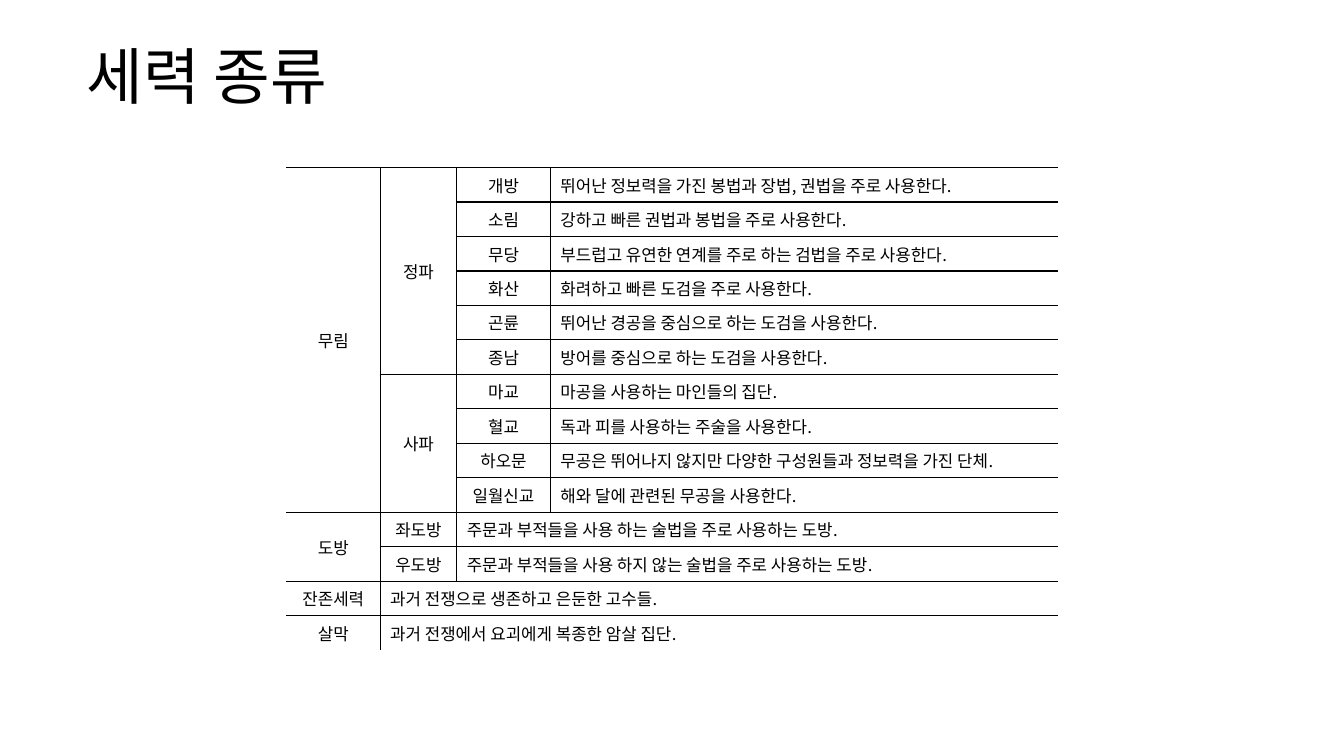
import pptx
import pptx.util
import pptx.dml.color
import pptx.enum.text
import pptx.oxml
from pptx.util import Cm
from lxml import etree

FONT = "Noto Sans CJK KR"
BLACK = "000000"
PLAIN_STYLE = "{2D5ABB26-0587-4C30-8999-92F81FD0307C}"
ALIGN = pptx.enum.text.PP_ALIGN
MIDDLE = pptx.enum.text.MSO_ANCHOR.MIDDLE

COLUMN_WIDTHS = [2.36, 1.93, 2.36, 12.8]
ROW_HEIGHT = 0.82

# Labels from left to right, then a description; "" continues the label above
FACTIONS = [
    ["무림", "정파", "개방", "뛰어난 정보력을 가진 봉법과 장법, 권법을 주로 사용한다."],
    ["", "", "소림", "강하고 빠른 권법과 봉법을 주로 사용한다."],
    ["", "", "무당", "부드럽고 유연한 연계를 주로 하는 검법을 주로 사용한다."],
    ["", "", "화산", "화려하고 빠른 도검을 주로 사용한다."],
    ["", "", "곤륜", "뛰어난 경공을 중심으로 하는 도검을 사용한다."],
    ["", "", "종남", "방어를 중심으로 하는 도검을 사용한다."],
    ["", "사파", "마교", "마공을 사용하는 마인들의 집단."],
    ["", "", "혈교", "독과 피를 사용하는 주술을 사용한다."],
    ["", "", "하오문", "무공은 뛰어나지 않지만 다양한 구성원들과 정보력을 가진 단체."],
    ["", "", "일월신교", "해와 달에 관련된 무공을 사용한다."],
    ["도방", "좌도방", "주문과 부적들을 사용 하는 술법을 주로 사용하는 도방."],
    ["", "우도방", "주문과 부적들을 사용 하지 않는 술법을 주로 사용하는 도방."],
    ["잔존세력", "과거 전쟁으로 생존하고 은둔한 고수들."],
    ["살막", "과거 전쟁에서 요괴에게 복종한 암살 집단."],
]


def color(value):
    return pptx.dml.color.RGBColor.from_string(value)


def write(frame, text, size, align=ALIGN.LEFT, spacing=None):
    para = frame.paragraphs[0]
    para.alignment = align
    para.line_spacing = spacing
    span = para.add_run()
    span.text = text
    span.font.size = pptx.util.Pt(size)
    span.font.name = FONT
    span.font.color.rgb = color(BLACK)
    east_asian = etree.SubElement(span.font._element, pptx.oxml.ns.qn("a:ea"))
    east_asian.set("typeface", FONT)


def draw_borders(cell, sides):
    """Rule the given sides (L, R, T, B in that order) and leave the cell unfilled."""
    properties = cell._tc.get_or_add_tcPr()
    for side in sides:
        properties.append(pptx.oxml.parse_xml(
            f'<a:ln{side} {pptx.oxml.ns.nsdecls("a")} w="12700">'
            f'<a:solidFill><a:srgbClr val="{BLACK}"/></a:solidFill></a:ln{side}>'))
    cell.fill.background()


def add_title(page, text):
    title = page.shapes.title
    title.left, title.top, title.width, title.height = Cm(1.93), Cm(0.81), Cm(30), Cm(2.39)
    frame = title.text_frame
    frame.auto_size = pptx.enum.text.MSO_AUTO_SIZE.NONE
    frame.vertical_anchor = MIDDLE
    write(frame, text, 44, spacing=0.9)


def fill_block(table, top, left, bottom, right, text):
    """Fill one cell or merged group; rows and columns are inclusive."""
    last_row, last_column = len(table.rows) - 1, len(table.columns) - 1
    for row in range(top, bottom + 1):
        for column in range(left, right + 1):
            edges = {
                "L": column == left > 0,
                "R": column == right < last_column,
                "T": row == top,
                "B": row == bottom < last_row,
            }
            draw_borders(table.cell(row, column), [side for side, shown in edges.items() if shown])
    cell = table.cell(top, left)
    if (top, left) != (bottom, right):
        cell.merge(table.cell(bottom, right))
    cell.vertical_anchor = MIDDLE
    is_description = right == last_column
    write(cell.text_frame, text, 12, ALIGN.LEFT if is_description else ALIGN.CENTER)


def add_faction_table(page, entries):
    count = len(entries)
    box = page.shapes.add_table(count, len(COLUMN_WIDTHS), Cm(7.22), Cm(4.22),
                                Cm(sum(COLUMN_WIDTHS)), Cm(ROW_HEIGHT * count))
    table = box.table
    table.first_row = table.horz_banding = False
    table._tbl.tblPr.find(pptx.oxml.ns.qn("a:tableStyleId")).text = PLAIN_STYLE
    for column, width in zip(table.columns, COLUMN_WIDTHS):
        column.width = Cm(width)
    for row in table.rows:
        row.height = Cm(ROW_HEIGHT)

    for top, entry in enumerate(entries):
        for left, text in enumerate(entry):
            if not text:
                continue
            bottom = top
            while bottom + 1 < count and entries[bottom + 1][left:left + 1] == [""]:
                bottom += 1
            right = len(COLUMN_WIDTHS) - 1 if left == len(entry) - 1 else left
            fill_block(table, top, left, bottom, right, text)


def main():
    deck = pptx.Presentation()
    deck.slide_width, deck.slide_height = Cm(33.87), Cm(19.05)
    page = deck.slides.add_slide(deck.slide_layouts[5])
    add_title(page, "세력 종류")
    add_faction_table(page, FACTIONS)
    deck.save("out.pptx")


if __name__ == "__main__":
    main()
